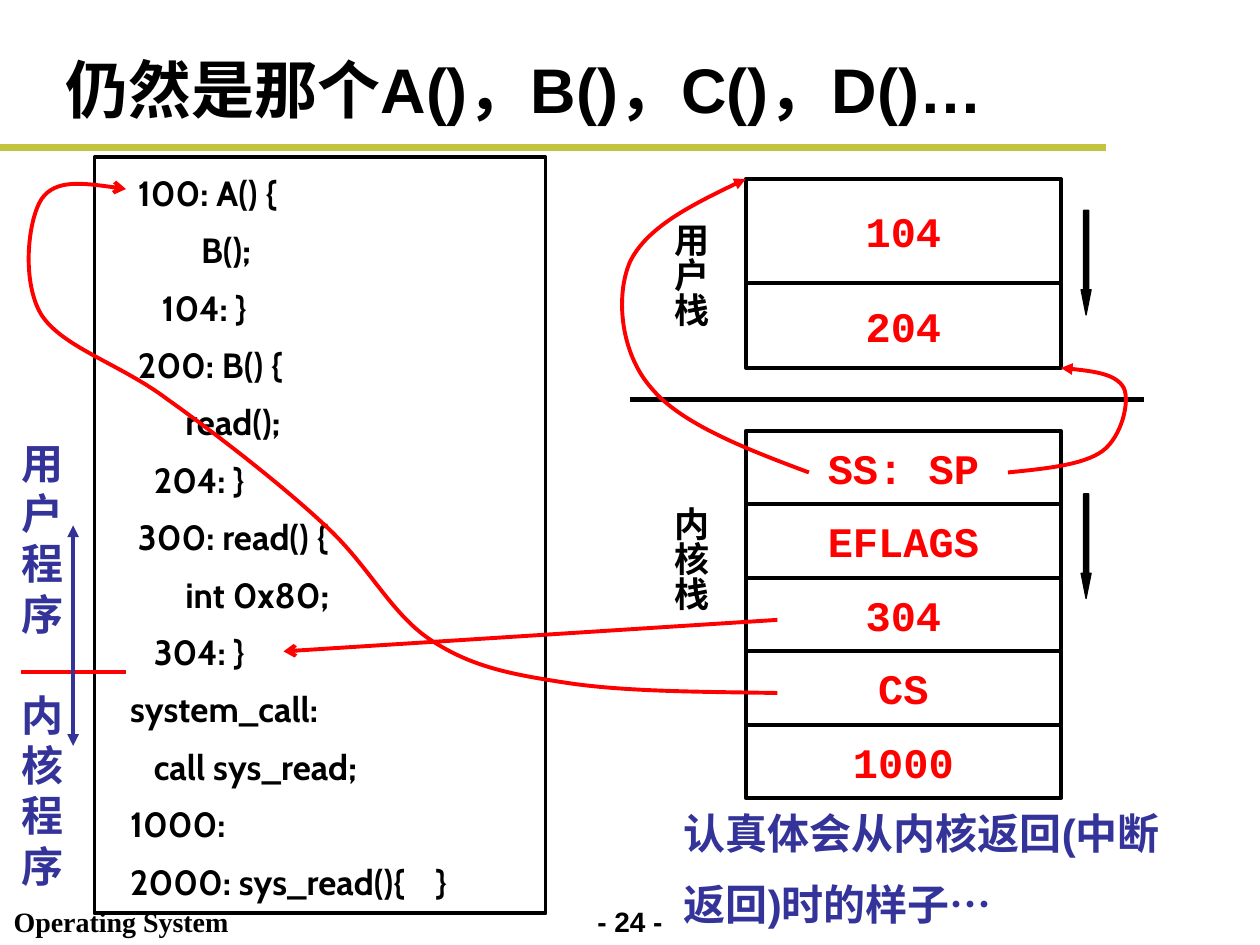
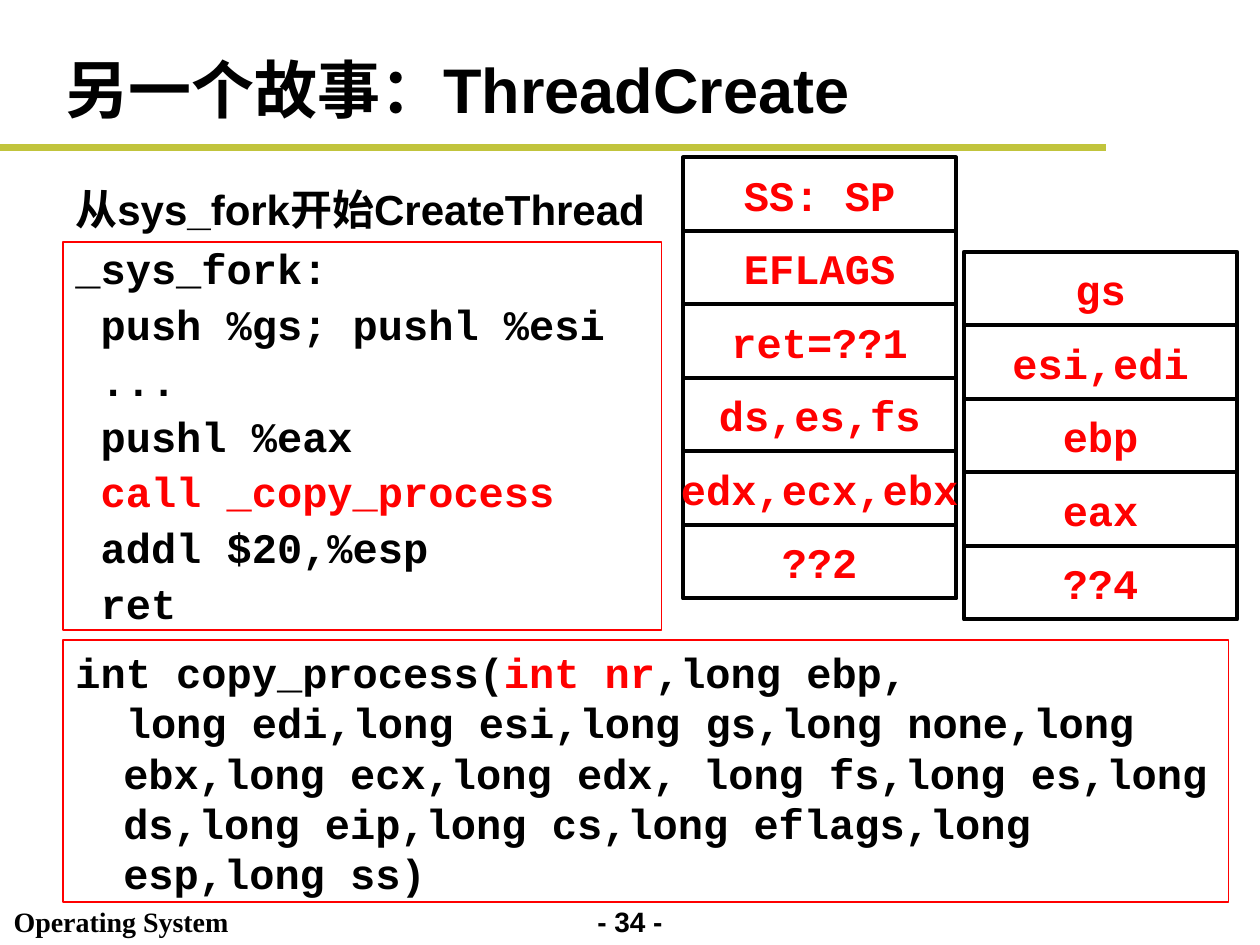
from itertools import accumulate

from pptx import Presentation
from pptx.dml.color import RGBColor
from pptx.enum.shapes import MSO_CONNECTOR as Connector, MSO_SHAPE as Shape
from pptx.enum.text import MSO_ANCHOR as Anchor, MSO_AUTO_SIZE as AutoSize, PP_ALIGN as Align
from pptx.oxml.ns import qn
from pptx.oxml.xmlchemy import OxmlElement
from pptx.util import Inches, Pt

BLACK = RGBColor(0x00, 0x00, 0x00)
WHITE = RGBColor(0xFF, 0xFF, 0xFF)
RED = RGBColor(0xFF, 0x00, 0x00)
BLUE = RGBColor(0x33, 0x33, 0x99)
OLIVE = RGBColor(0xC1, 0xC4, 0x3C)

SANS = "Arial"
MONO = "Courier New"
CELL_HEIGHT = 7 / 12

PROGRAM = [
    "  100: A() {",
    "          B();",
    "     104: }",
    "  200: B() {",
    "        read();",
    "    204: }",
    "  300: read() {",
    "        int 0x80;",
    "    304: }",
    " system_call:",
    "    call sys_read;",
    " 1000:",
    " 2000: sys_read(){    }",
]
SYS_FORK = [
    "_sys_fork:",
    " push %gs; pushl %esi",
    " ...",
    " pushl %eax",
    " call _copy_process",
    " addl $20,%esp",
    " ret",
]
COPY_PROCESS = [
    "int copy_process(int nr,long ebp,",
    "  long edi,long esi,long gs,long none,long ebx,long ecx,long edx, "
    "long fs,long es,long ds,long eip,long cs,long eflags,long esp,long ss)",
]

SP_TO_USER_STACK = [
    (8, 3.75), (8.3, 3.72), (8.6, 3.69), (8.75, 3.58),
    (8.9, 3.47), (8.97, 3.19), (8.92, 3.08), (8.86, 2.97), (8.64, 2.94), (8.42, 2.92),
]
SS_TO_USER_STACK = [
    (6.42, 3.75), (5.91, 3.56), (5.4, 3.36), (5.17, 3.08),
    (4.93, 2.81), (4.88, 2.36), (5, 2.08), (5.13, 1.81), (5.52, 1.61), (5.92, 1.42),
]
CS_TO_PROGRAM = [
    (6.17, 5.5), (5.56, 5.49), (4.96, 5.49), (4.5, 5.42),
    (4.04, 5.35), (3.74, 5.29), (3.42, 5.08), (3.1, 4.87), (2.93, 4.49), (2.58, 4.17),
    (2.24, 3.85), (1.71, 3.44), (1.33, 3.17), (0.96, 2.89), (0.5, 2.76), (0.33, 2.5),
    (0.17, 2.24), (0.22, 1.75), (0.33, 1.58), (0.44, 1.42), (0.72, 1.46), (1, 1.5),
]


def write(frame, lines, size, font=SANS, color=BLACK, highlight=None,
          align=Align.LEFT, line_spacing=None, gap=0, hanging=0):
    """Fill a text frame with bold lines, with the highlighted words in red."""
    for index, line in enumerate(lines):
        para = frame.paragraphs[0] if index == 0 else frame.add_paragraph()
        para.alignment = align
        if line_spacing:
            para.line_spacing = line_spacing
        if gap and index:
            para.space_before = Pt(gap)
        if hanging:
            properties = para._p.get_or_add_pPr()
            properties.set("marL", str(Inches(hanging)))
            properties.set("indent", str(-Inches(hanging)))
        pieces = line.partition(highlight) if highlight else [line]
        for piece in filter(None, pieces):
            span = para.add_run()
            span.text = piece
            span.font.size = Pt(size)
            span.font.name = font
            span.font.bold = True
            span.font.color.rgb = RED if piece == highlight else color


def add_text(page, left, top, width, height, text, size, wrap=True, **style):
    """Add a text box holding one paragraph."""
    box = page.shapes.add_textbox(Inches(left), Inches(top), Inches(width), Inches(height))
    box.text_frame.word_wrap = wrap
    box.text_frame.auto_size = AutoSize.SHAPE_TO_FIT_TEXT
    write(box.text_frame, [text], size, **style)
    return box


def add_vertical_text(page, left, top, text):
    """Add a label that reads from top to bottom."""
    box = add_text(page, left, top, 0.53, 1.08, text, 20)
    frame = box.text_frame
    frame._txBody.bodyPr.set("vert", "eaVert")
    frame.margin_left = frame.margin_right = Inches(0.05)
    frame.margin_top = frame.margin_bottom = Inches(0.1)


def add_box(page, left, top, width, height, line_color, line_width, fill=None, shape=Shape.RECTANGLE):
    """Add an outlined shape with an optional fill."""
    box = page.shapes.add_shape(shape, Inches(left), Inches(top), Inches(width), Inches(height))
    box.shadow.inherit = False
    if fill is None:
        box.fill.background()
    else:
        box.fill.solid()
        box.fill.fore_color.rgb = fill
    box.line.color.rgb = line_color
    box.line.width = Pt(line_width)
    box.text_frame.vertical_anchor = Anchor.TOP
    return box


def add_stack(page, left, top, width, labels, heights=None):
    """Pile labelled memory cells on one another."""
    heights = heights or [CELL_HEIGHT] * len(labels)
    tops = accumulate(heights, initial=top)
    for label, cell_top, height in zip(labels, tops, heights):
        cell = add_box(page, left, cell_top, width, height, BLACK, 2.25, WHITE)
        cell.text_frame.word_wrap = False
        cell.text_frame.vertical_anchor = Anchor.MIDDLE
        write(cell.text_frame, [label], 24, MONO, RED, align=Align.CENTER)


def add_growth_arrow(page, top):
    """Add the thin black arrow showing which way a stack grows."""
    arrow = add_box(page, 8.58, top, 0.08, 0.83, BLACK, 0.75, BLACK, Shape.DOWN_ARROW)
    arrow.adjustments[0] = 0.5
    arrow.adjustments[1] = 2.5


def add_arrowhead(shape, head):
    """Put an arrowhead at the end of a line."""
    tail_end = OxmlElement("a:tailEnd")
    tail_end.set("type", head)
    shape.line._get_or_add_ln().append(tail_end)


def add_line(page, start, end, color, width=2.25, head=None):
    """Add a straight line, with an arrowhead if one is named."""
    points = [Inches(value) for value in (*start, *end)]
    line = page.shapes.add_connector(Connector.STRAIGHT, *points)
    line.line.color.rgb = color
    line.line.width = Pt(width)
    line._element.spPr.append(OxmlElement("a:effectLst"))
    if head:
        add_arrowhead(line, head)


def add_curve(page, controls, head):
    """Add a red curved arrow through chained cubic segments."""
    start, *points = [(Inches(x), Inches(y)) for x, y in controls]
    builder = page.shapes.build_freeform(*start)
    builder.add_line_segments(points, close=False)
    curve = builder.convert_to_shape()
    segments = list(curve._element.iter(qn("a:lnTo")))
    for first in range(0, len(segments), 3):
        cubic = OxmlElement("a:cubicBezTo")
        segments[first].addprevious(cubic)
        for segment in segments[first:first + 3]:
            cubic.append(segment[0])
            segment.getparent().remove(segment)
    curve.shadow.inherit = False
    curve.fill.background()
    curve.line.color.rgb = RED
    curve.line.width = Pt(2.25)
    add_arrowhead(curve, head)


def add_page(deck, title, number):
    """Add a slide with its title, band and footer."""
    page = deck.slides.add_slide(deck.slide_layouts[5])
    heading = page.shapes.title
    heading.left, heading.top = Inches(0.42), Inches(0.33)
    heading.width, heading.height = Inches(9.25), Inches(0.74)
    heading.text_frame.auto_size = AutoSize.NONE
    heading.text_frame.vertical_anchor = Anchor.MIDDLE
    write(heading.text_frame, [title], 36)
    add_text(page, 4.5, 7.13, 1, 0.37, f"- {number} -", 16, align=Align.CENTER)
    add_text(page, 0.01, 7.13, 1.95, 0.37, "Operating System", 16, font="Times New Roman")
    add_line(page, (0, 1.17), (8.78, 1.17), OLIVE, 4)
    return page


def add_stack_page(deck):
    """Show how the kernel stack leads back to the user program."""
    page = add_page(deck, "仍然是那个A()，B()，C()，D()…", 24)
    listing = add_box(page, 0.75, 1.25, 3.58, 6, BLACK, 2.25, WHITE)
    listing.text_frame.margin_left = Inches(0.22)
    listing.text_frame.margin_top = Inches(0.11)
    write(listing.text_frame, PROGRAM, 20, "Cabin", gap=8.8)

    add_stack(page, 5.92, 1.42, 2.5, ["104", "204"], [0.83, 0.67])
    add_stack(page, 5.92, 3.42, 2.5, ["SS: SP", "EFLAGS", "304", "CS", "1000"])
    for label, top in (("用户栈", 1.67), ("内核栈", 3.92)):
        add_vertical_text(page, 5.17, top, label)
        add_growth_arrow(page, top)
    add_line(page, (5, 3.17), (9.08, 3.17), BLACK, 3)

    add_curve(page, SP_TO_USER_STACK, "triangle")
    add_curve(page, SS_TO_USER_STACK, "triangle")
    add_line(page, (1, 5.33), (0.17, 5.33), RED)
    add_line(page, (0.58, 5.08), (0.58, 4.17), BLUE, head="triangle")
    add_line(page, (0.58, 5), (0.58, 5.92), BLUE, head="triangle")
    add_line(page, (6.17, 4.92), (2.25, 5.17), RED, head="arrow")
    for label, top in (("用户程序", 3.42), ("内核程序", 5.42)):
        add_text(page, 0, top, 0.67, 1.7, label, 24, color=BLUE, align=Align.CENTER)
    add_curve(page, CS_TO_PROGRAM, "arrow")
    add_text(page, 5.33, 6.2, 4, 1.22, "认真体会从内核返回(中断返回)时的样子…", 24,
             color=BLUE, line_spacing=1.4)


def add_thread_page(deck):
    """Show the stack that sys_fork builds for copy_process."""
    page = add_page(deck, "另一个故事：ThreadCreate", 34)
    signature = add_box(page, 0.5, 5.08, 9.25, 2.08, RED, 1)
    write(signature.text_frame, COPY_PROCESS, 24, MONO, highlight="int nr", hanging=0.38)
    fork = add_box(page, 0.5, 1.92, 4.75, 3.08, RED, 1)
    write(fork.text_frame, SYS_FORK, 24, MONO, highlight="call _copy_process",
          line_spacing=0.9, gap=6, hanging=0.38)
    add_stack(page, 5.42, 1.25, 2.17,
              ["SS: SP", "EFLAGS", "ret=??1", "ds,es,fs", "edx,ecx,ebx", "??2"])
    add_stack(page, 7.65, 2, 2.17, ["gs", "esi,edi", "ebp", "eax", "??4"])
    add_text(page, 0.5, 1.25, 6.33, 0.66, "从sys_fork开始CreateThread", 24, line_spacing=1.4)


def main():
    """Build the deck and save it."""
    deck = Presentation()
    deck.slide_width, deck.slide_height = Inches(10), Inches(7.5)
    add_stack_page(deck)
    add_thread_page(deck)
    deck.save("out.pptx")


if __name__ == "__main__":
    main()
